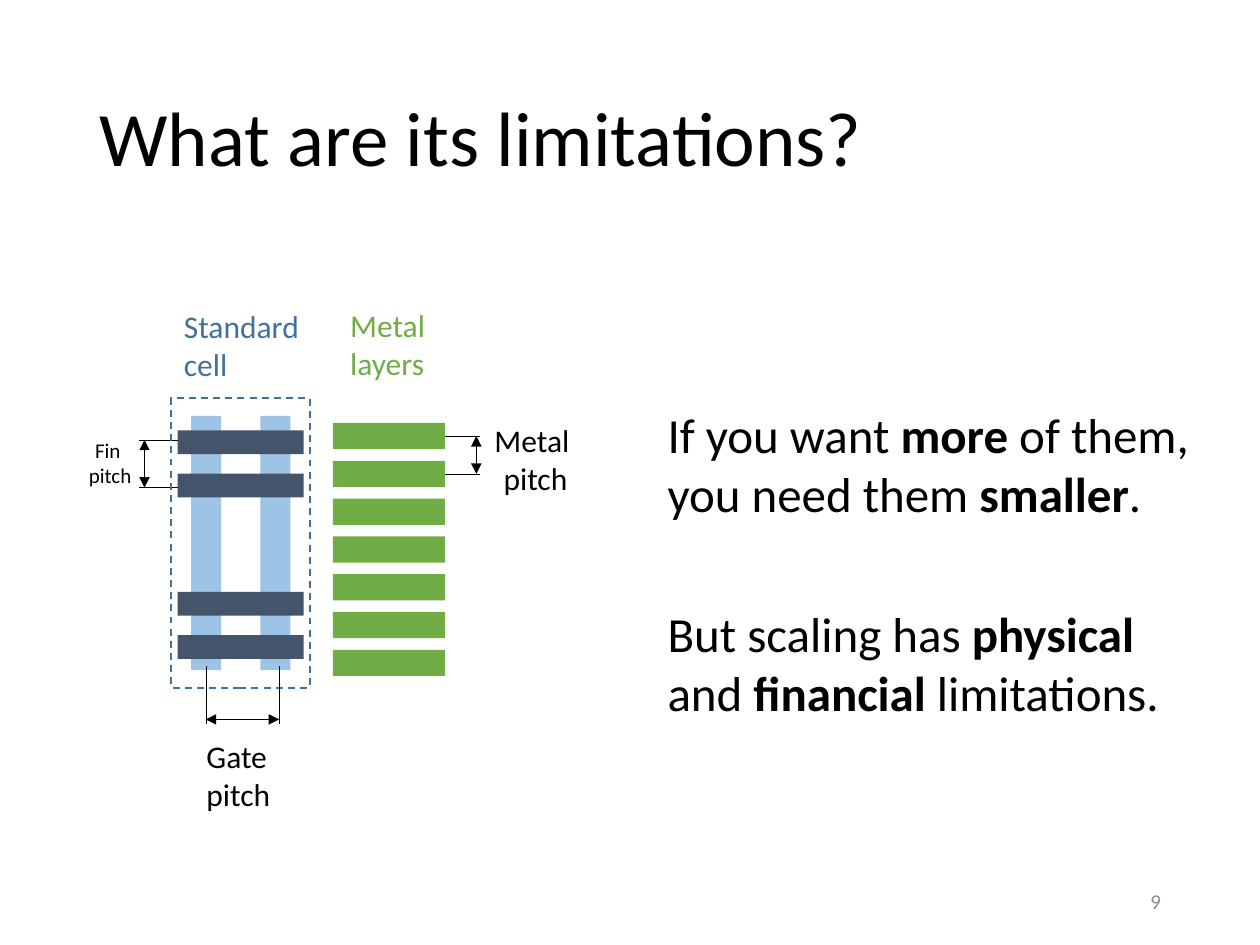
import pptx
import pptx.util
import pptx.dml.color
import pptx.enum.dml
import pptx.enum.shapes
import pptx.enum.text
import pptx.oxml
import pptx.oxml.ns

Pt = pptx.util.Pt
ALIGN = pptx.enum.text.PP_ALIGN
ANCHOR = pptx.enum.text.MSO_ANCHOR
FONT = "Calibri"
BLACK, GREEN, LIGHT_BLUE, SLATE, BLUE, GRAY = (
    "000000", "70AD47", "9DC3E6", "44546A", "41719C", "8C8C8C")

# Content: each paragraph is a list of (text, bold) runs
TITLE = "What are its limitations?"
NUMBER = "9"
STATEMENTS = [
    ((374.4, 227.5, 316, 75), [
        [("If you want ", False), ("more", True), (" of them,", False)],
        [("you need them ", False), ("smaller", True), (".", False)]]),
    ((374.4, 341.3, 297.4, 75), [
        [("But scaling has ", False), ("physical", True)],
        [("and ", False), ("financial", True), (" limitations.", False)]]),
]
# Labels: box, lines, size, colour, alignment of each line, inset or None
LABELS = [
    ((98, 172.1, 80.6, 51), ["Standard", "cell"], 18, BLUE, "ll", None),
    ((193, 171.4, 57.6, 51), ["Metal", "layers"], 18, GREEN, "ll", None),
    ((271, 236.9, 70, 50.4), ["Metal ", "pitch"], 18, BLACK, "cc", None),
    ((110.9, 417.9, 57.6, 44), ["Gate", "pitch"], 18, BLACK, "lc", None),
    ((49.7, 250, 26.6, 29.5), ["Fin ", "pitch"], 12, BLACK, "cc", 0),
]

# Diagram geometry
METAL_LEFT, METAL_TOP, METAL_W, METAL_H = 190.2, 241.7, 64, 15
METAL_COUNT, METAL_STEP = 7, 21.6
GATE_LEFTS, GATE_TOP, GATE_W, GATE_H = (109.2, 148.8), 237.6, 17.2, 145.4
FIN_TOPS, FIN_LEFT, FIN_W, FIN_H = (246, 270.7, 338.2, 363), 101.5, 72, 13.6
CELL = (97.8, 227.5, 79.2, 165.6)


def rgb(hex_color):
    return pptx.dml.color.RGBColor.from_string(hex_color)


def put(sp, box):
    sp.left, sp.top, sp.width, sp.height = (Pt(v) for v in box)


def add_run(p, text, size, color, bold=False):
    r = p.add_run()
    r.text = text
    r.font.name, r.font.size, r.font.bold = FONT, Pt(size), bold
    r.font.color.rgb = rgb(color)


def add_text(s, box, paragraphs, size, color, aligns="ll", inset=None):
    sp = s.shapes.add_textbox(*(Pt(v) for v in box))
    tf = sp.text_frame
    tf.word_wrap = False
    if inset is not None:
        tf.margin_left = tf.margin_right = Pt(inset)
        tf.margin_top = tf.margin_bottom = Pt(inset)
    for i, runs in enumerate(paragraphs):
        p = tf.add_paragraph() if i else tf.paragraphs[0]
        p.alignment = {"l": ALIGN.LEFT, "c": ALIGN.CENTER, "r": ALIGN.RIGHT}[aligns[i]]
        for text, bold in runs:
            add_run(p, text, size, color, bold)
    return tf


def add_rect(s, box, fill=None):
    sp = s.shapes.add_shape(pptx.enum.shapes.MSO_SHAPE.RECTANGLE,
                            *(Pt(v) for v in box))
    sp.shadow.inherit = False
    sp.line.fill.background()
    if fill:
        sp.fill.solid()
        sp.fill.fore_color.rgb = rgb(fill)
    else:
        sp.fill.background()
    return sp


def add_line(s, x1, y1, x2, y2, arrows=False):
    cx = s.shapes.add_connector(pptx.enum.shapes.MSO_CONNECTOR.STRAIGHT,
                                Pt(x1), Pt(y1), Pt(x2), Pt(y2))
    cx.line.color.rgb = rgb(BLACK)
    cx.line.width = Pt(0.25)
    if arrows:
        ln = cx.line._get_or_add_ln()
        for tag in ("a:headEnd", "a:tailEnd"):
            end = pptx.oxml.ns.qn(tag)
            ln.append(ln.makeelement(end, {"type": "triangle"}))
    spPr = cx._element.spPr
    spPr.append(spPr.makeelement(pptx.oxml.ns.qn("a:effectLst"), {}))
    return cx


def main():
    prs = pptx.Presentation()
    prs.slide_width, prs.slide_height = Pt(720), Pt(540)
    s = prs.slides.add_slide(prs.slide_layouts[5])

    # Title and slide number
    put(s.shapes.title, (49.5, 28.8, 621, 104.4))
    tf = s.shapes.title.text_frame
    tf.vertical_anchor = ANCHOR.MIDDLE
    p = tf.paragraphs[0]
    p.alignment, p.line_spacing = ALIGN.LEFT, 0.9
    add_run(p, TITLE, 44, BLACK)
    tf = add_text(s, (508.5, 500.5, 162, 28.8), [[(NUMBER, False)]], 12, GRAY, "r")
    tf.word_wrap = True
    tf.vertical_anchor = ANCHOR.MIDDLE

    # Metal layers, with the pitch measured between the first two
    metals = [add_rect(s, (METAL_LEFT, METAL_TOP + i * METAL_STEP, METAL_W, METAL_H), GREEN)
              for i in range(METAL_COUNT)]
    y1 = METAL_TOP + METAL_H / 2
    y2 = y1 + METAL_STEP
    add_line(s, 272.2, y2, 272.2, y1, arrows=True)
    for metal, y in zip(metals, (y1, y2)):
        add_line(s, METAL_LEFT + METAL_W, y, 274.5, y).begin_connect(metal, 3)

    # Fin pitch
    y1, y2 = 251.3, 278.6
    add_line(s, 82.6, y2, 82.6, y1, arrows=True)
    for y in (y1, y2):
        add_line(s, 103.7, y, 79.7, y)

    # Gates inside the standard cell
    for x in GATE_LEFTS:
        add_rect(s, (x, GATE_TOP, GATE_W, GATE_H), LIGHT_BLUE)
    cell = add_rect(s, CELL)
    cell.line.color.rgb = rgb(BLUE)
    cell.line.width = Pt(1)
    cell.line.dash_style = pptx.enum.dml.MSO_LINE.DASH

    # Gate pitch
    x1, x2 = 117.6, 159.5
    add_line(s, x1, 411.1, x2, 411.1, arrows=True)
    for x in (x1, x2):
        add_line(s, x, 380.7, x, 413.8)

    # Fins across the gates
    for y in FIN_TOPS:
        add_rect(s, (FIN_LEFT, y, FIN_W, FIN_H), SLATE)

    # Labels and statements
    for box, lines, size, color, aligns, inset in LABELS:
        add_text(s, box, [[(line, False)] for line in lines], size, color, aligns, inset)
    for box, paragraphs in STATEMENTS:
        add_text(s, box, paragraphs, 28, BLACK)

    prs.save("out.pptx")


if __name__ == "__main__":
    main()
